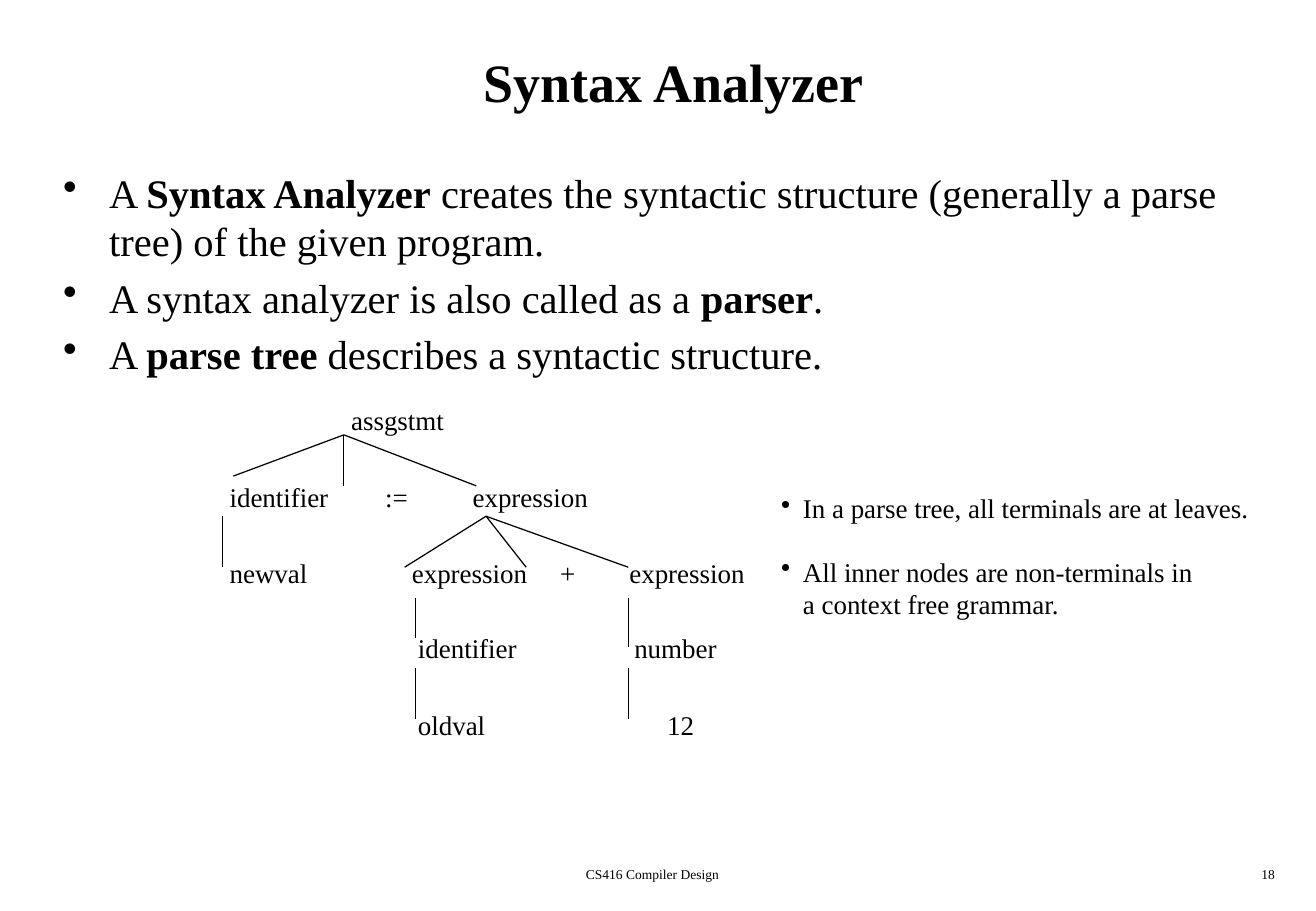
from dataclasses import dataclass

from lxml import etree
from pptx import Presentation, util as u
from pptx.dml.color import RGBColor
from pptx.enum import shapes, text
from pptx.oxml.ns import qn


@dataclass(frozen=True)
class Theme:
    font: str = "Times New Roman"
    ink: RGBColor = RGBColor(0, 0, 0)
    title: int = 32
    body: int = 24
    tree: int = 16
    footer: int = 8


theme = Theme()


def style(paragraph, size, bold=False, hang=0):
    """Set the font and, when hang (inches) is given, a hanging bullet."""
    paragraph.font.name = theme.font
    paragraph.font.size = u.Pt(size)
    paragraph.font.bold = bold
    paragraph.font.color.rgb = theme.ink
    if hang:
        properties = paragraph._p.get_or_add_pPr()
        properties.set("marL", str(u.Inches(hang)))
        properties.set("indent", str(-u.Inches(hang)))
        bullet = etree.Element(qn("a:buChar"), char="•")
        properties.insert_element_before(bullet, "a:tabLst", "a:defRPr", "a:extLst")


def add_text(left, top, width, height, wrap=True):
    frame = slide.shapes.add_textbox(
        u.Inches(left), u.Inches(top), u.Inches(width), u.Inches(height)).text_frame
    frame.word_wrap = wrap
    return frame


deck = Presentation()
deck.slide_width, deck.slide_height = u.Inches(10.83), u.Inches(7.5)
slide = deck.slides.add_slide(deck.slide_layouts[5])

# Title
title = slide.shapes.title
title.left, title.top = u.Inches(0.42), u.Inches(0.17)
title.width, title.height = u.Inches(10.25), u.Inches(1)
title.text_frame.text = "Syntax Analyzer"
title.text_frame.vertical_anchor = text.MSO_ANCHOR.MIDDLE
title.text_frame.paragraphs[0].alignment = text.PP_ALIGN.CENTER
style(title.text_frame.paragraphs[0], theme.title, bold=True)

# Main points: plain, bold, plain
points = [
    ("A ", "Syntax Analyzer",
     " creates the syntactic structure (generally a parse tree) of the given program."),
    ("A syntax analyzer is also called as a ", "parser", "."),
    ("A ", "parse tree", " describes a syntactic structure."),
]
body = add_text(0.42, 1.33, 10.25, 1.95)
for i, (before, term, after) in enumerate(points):
    point = body.add_paragraph() if i else body.paragraphs[0]
    style(point, theme.body, hang=0.38)
    point.space_before = u.Pt(4.8 if i else 0)
    point.add_run().text = before
    key_term = point.add_run()
    key_term.text, key_term.font.bold = term, True
    point.add_run().text = after

# Parse tree: text top of each level, then (left, label) of its nodes
levels = [
    (3.32, [(2.89, "assgstmt")]),
    (3.96, [(1.89, "identifier"), (3.17, ":="), (3.89, "expression")]),
    (4.58, [(1.89, "newval"), (3.39, "expression"), (4.61, "+"), (5.18, "expression")]),
    (5.20, [(3.44, "identifier"), (5.22, "number")]),
    (5.83, [(3.44, "oldval"), (5.49, "12")]),
]
for top, nodes in levels:
    for left, label in nodes:
        node = add_text(left, top, 1, 0.26, wrap=False)
        node.margin_left = node.margin_right = node.margin_top = node.margin_bottom = 0
        node.text = label
        style(node.paragraphs[0], theme.tree)

# Branches: a parent point and the ends that it leads to
branches = [
    ((2.83, 3.58), [(1.92, 3.92), (2.83, 4), (3.92, 4)]),
    ((1.83, 4.25), [(1.83, 4.67)]),
    ((4, 4.25), [(3.33, 4.67), (4.33, 4.67), (5.17, 4.67)]),
    ((3.42, 4.92), [(3.42, 5.25)]),
    ((3.42, 5.5), [(3.42, 5.92)]),
    ((5.17, 4.92), [(5.17, 5.33)]),
    ((5.17, 5.5), [(5.17, 5.92)]),
]
for parent, children in branches:
    for child in children:
        branch = slide.shapes.add_connector(
            shapes.MSO_CONNECTOR.STRAIGHT, *map(u.Inches, parent + child))
        branch.line.color.rgb = theme.ink
        branch.line.width = u.Pt(0.75)
        etree.SubElement(branch._element.spPr, qn("a:effectLst"))

# Notes on the tree; \v breaks the line
notes = add_text(6.33, 4, 4.3, 1.17)
remarks = ["In a parse tree, all terminals are at leaves.",
           "All inner nodes are non-terminals in\va context free grammar."]
for i, remark in enumerate(remarks):
    note = notes.add_paragraph() if i else notes.paragraphs[0]
    note.text = remark
    note.space_before = u.Pt(18.4 if i else 0)
    style(note, theme.tree, hang=0.18)

# Footer
for left, width, wording, alignment in [
    (3.34, 4.06, "CS416 Compiler Design", text.PP_ALIGN.CENTER),
    (8.33, 2.26, "18", text.PP_ALIGN.RIGHT),
]:
    footer = add_text(left, 7.08, width, 0.25)
    footer.text = wording
    footer.paragraphs[0].alignment = alignment
    style(footer.paragraphs[0], theme.footer)

deck.save("out.pptx")
